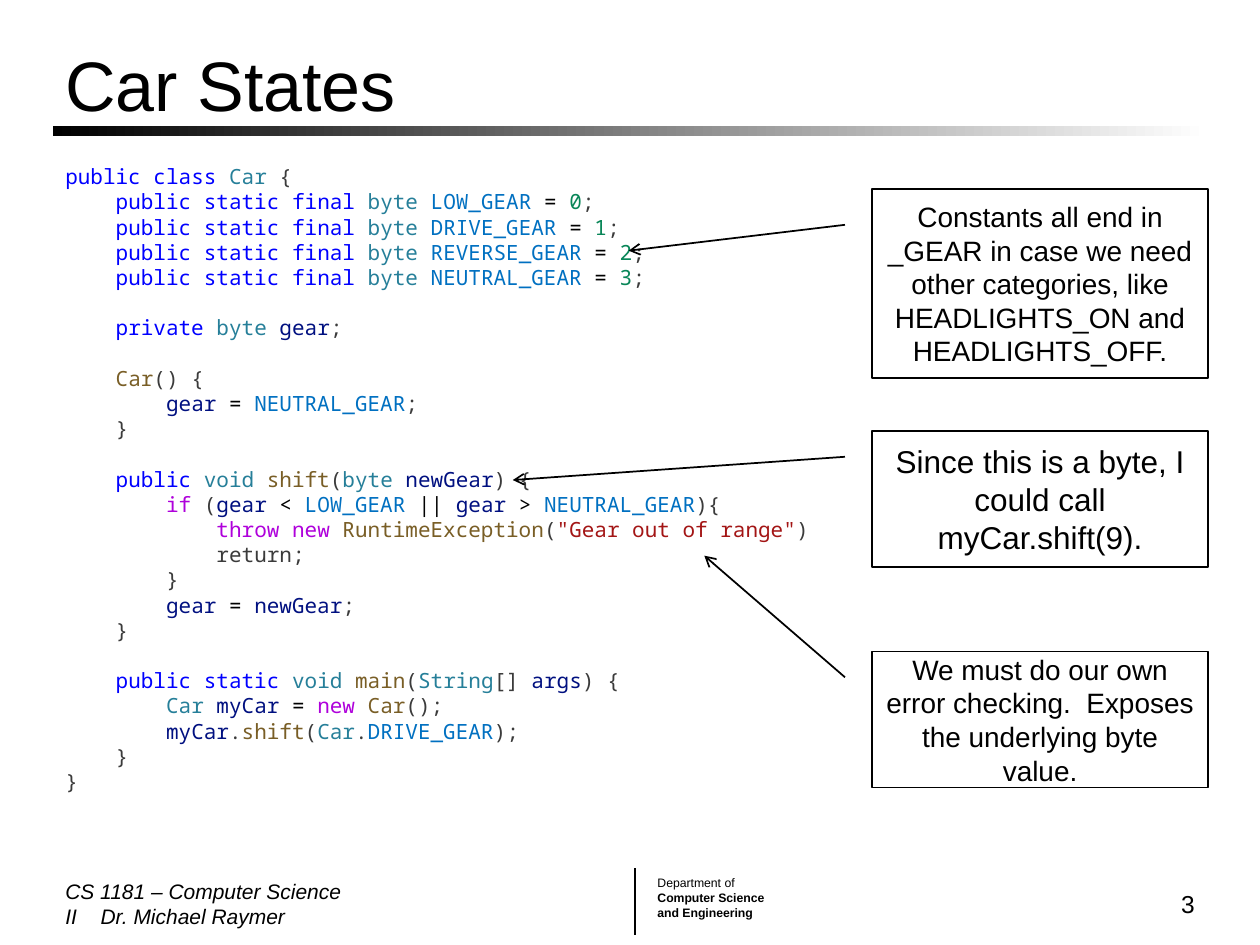
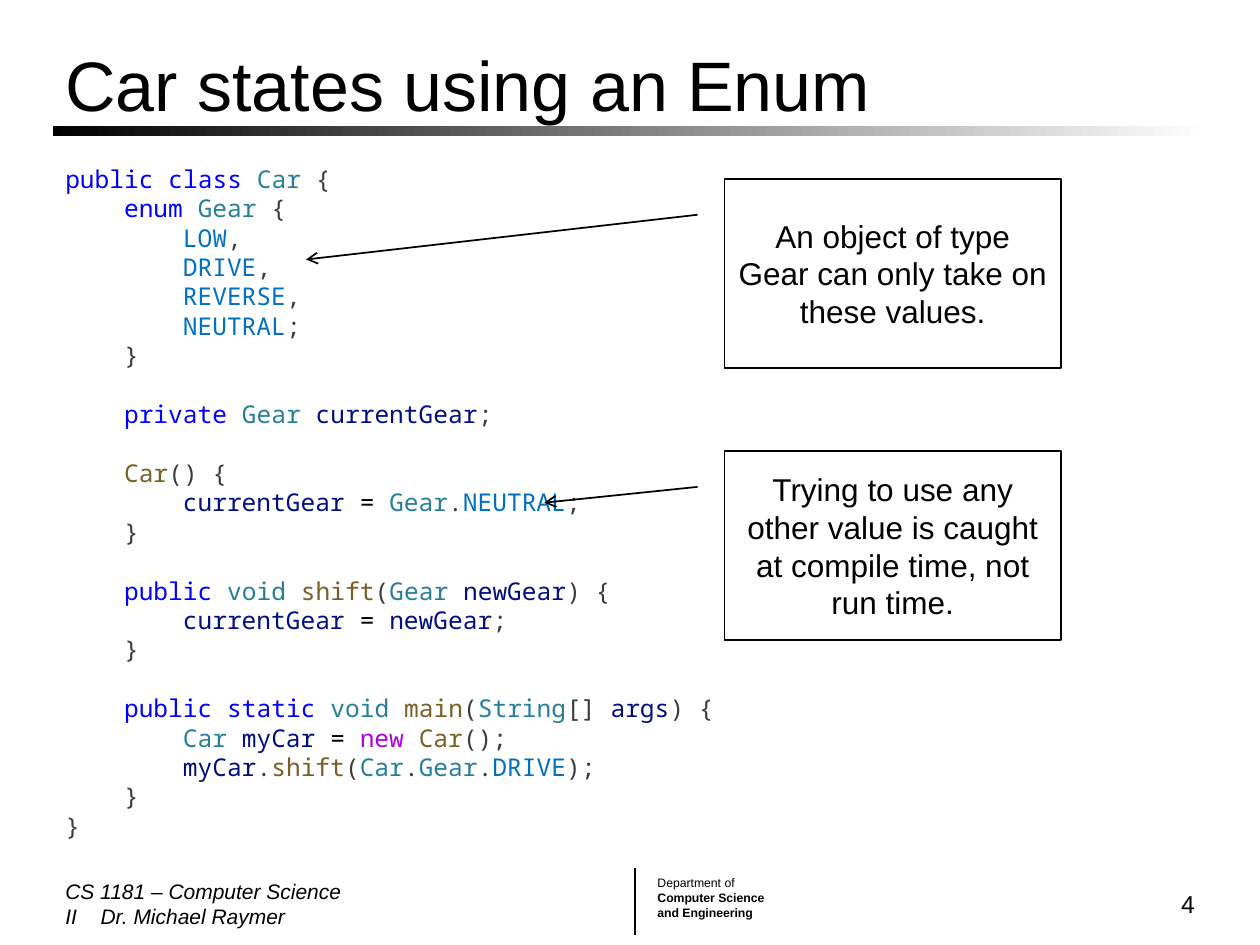
import itertools

import lxml.etree
import pptx
import pptx.dml.color
import pptx.enum.shapes
import pptx.enum.text
import pptx.oxml.ns
import pptx.util

Inches = pptx.util.Inches
Pt = pptx.util.Pt
RGBColor = pptx.dml.color.RGBColor
Align = pptx.enum.text.PP_ALIGN
Anchor = pptx.enum.text.MSO_ANCHOR
Shape = pptx.enum.shapes.MSO_SHAPE
qn = pptx.oxml.ns.qn

BLACK = RGBColor(0x00, 0x00, 0x00)
WHITE = RGBColor(0xFF, 0xFF, 0xFF)
PLAIN = RGBColor(0x3B, 0x3B, 0x3B)
KEYWORD = RGBColor(0x00, 0x00, 0xFF)
FLOW = RGBColor(0xAF, 0x00, 0xDB)
TYPE = RGBColor(0x26, 0x7F, 0x99)
CONSTANT = RGBColor(0x00, 0x70, 0xC1)
NUMBER = RGBColor(0x09, 0x86, 0x58)
VARIABLE = RGBColor(0x00, 0x10, 0x80)
FUNCTION = RGBColor(0x79, 0x5E, 0x26)
STRING = RGBColor(0xA3, 0x15, 0x15)

BODY_FONT = "Arial"
CODE_FONT = "Noto Sans Mono"

WORD_COLORS = {
    **dict.fromkeys(["public", "private", "class", "static", "final", "enum"], KEYWORD),
    **dict.fromkeys(["if", "throw", "new"], FLOW),
    **dict.fromkeys(["Car", "Gear", "String", "byte", "void"], TYPE),
    "return": PLAIN,
}

COURSE = "CS 1181 – Computer Science II\tDr. Michael Raymer"
DEPARTMENT = [("Department of", False), ("Computer Science", True), ("and Engineering", True)]

CONSTANTS_CODE = """public class Car {
    public static final byte LOW_GEAR = 0;
    public static final byte DRIVE_GEAR = 1;
    public static final byte REVERSE_GEAR = 2;
    public static final byte NEUTRAL_GEAR = 3;

    private byte gear;

    Car() {
        gear = NEUTRAL_GEAR;
    }

    public void shift(byte newGear) {
        if (gear < LOW_GEAR || gear > NEUTRAL_GEAR){
            throw new RuntimeException("Gear out of range")
            return;
        }
        gear = newGear;
    }

    public static void main(String[] args) {
        Car myCar = new Car();
        myCar.shift(Car.DRIVE_GEAR);
    }
}"""

ENUM_CODE = """public class Car {
    enum Gear {
        LOW,
        DRIVE,
        REVERSE,
        NEUTRAL;
    }

    private Gear currentGear;

    Car() {
        currentGear = Gear.NEUTRAL;
    }

    public void shift(Gear newGear) {
        currentGear = newGear;
    }

    public static void main(String[] args) {
        Car myCar = new Car();
        myCar.shift(Car.Gear.DRIVE);
    }
}"""

PAGES = [
    {
        "title": "Car States", "number": 3,
        "code": CONSTANTS_CODE, "code_size": 12, "code_height": 5.15,
        "callout_left": 6.92,
        "callouts": [
            {"top": 1.5, "height": 1.5, "size": 16, "target": (4.99, 1.99),
             "text": "Constants all end in _GEAR in case we need other categories, "
                     "like HEADLIGHTS_ON and HEADLIGHTS_OFF."},
            {"top": 3.42, "height": 1.08, "size": 18, "target": (4.07, 3.81),
             "text": "Since this is a byte, I could call myCar.shift(9)."},
            {"top": 5.17, "height": 1.08, "size": 16, "target": (5.59, 4.41),
             "text": "We must do our own error checking.  Exposes the underlying byte value."},
        ],
    },
    {
        "title": "Car states using an Enum", "number": 4,
        "code": ENUM_CODE, "code_size": 14, "code_height": 5.52,
        "callout_left": 5.75,
        "callouts": [
            {"top": 1.42, "height": 1.5, "size": 18, "target": (2.43, 2.06),
             "text": "An object of type Gear can only take on these values."},
            {"top": 3.58, "height": 1.5, "size": 18, "target": (4.32, 3.99),
             "text": "Trying to use any other value is caught at compile time, not run time."},
        ],
    },
]

LEFT, WIDTH = 0.42, 9.17
FOOTER_TOP, FOOTER_HEIGHT = 6.92, 0.5
CALLOUT_WIDTH = 2.67
LEADER_START = (0.19, -0.08)
CODE_LINE_FACTOR = 1.2
INDENT_PER_SPACE = 0.6


def apply(target, values):
    for name, value in values.items():
        setattr(target, name, value)


def add_span(para, text, size, color=BLACK, font=BODY_FONT, **extra):
    span = para.add_run()
    span.text = text
    apply(span.font, {"name": font, "size": Pt(size), **extra})
    span.font.color.rgb = color


def add_box(page, left, top, width, height, **frame_values):
    box = page.shapes.add_textbox(Inches(left), Inches(top), Inches(width), Inches(height))
    apply(box.text_frame, {"word_wrap": True, **frame_values})
    return box


def set_title(page, text):
    title = page.shapes.title
    apply(title, {"left": Inches(LEFT), "top": Inches(0.33),
                  "width": Inches(WIDTH), "height": Inches(0.67)})
    apply(title.text_frame, {"vertical_anchor": Anchor.MIDDLE,
                             "auto_size": pptx.enum.text.MSO_AUTO_SIZE.NONE})
    para = title.text_frame.paragraphs[0]
    para.alignment = Align.LEFT
    add_span(para, text, 40)


def add_title_band(page):
    band = page.shapes.add_shape(Shape.RECTANGLE, Inches(LEFT), Inches(1),
                                 Inches(WIDTH), Inches(0.08))
    band.shadow.inherit = False
    band.line.fill.background()
    band.fill.gradient()
    band.fill.gradient_angle = 0
    for stop, color, position in zip(band.fill.gradient_stops, (BLACK, WHITE), (0, 1)):
        stop.color.rgb = color
        stop.position = position


def add_footer(page, number):
    divider = page.shapes.add_connector(pptx.enum.shapes.MSO_CONNECTOR.STRAIGHT,
                                        Inches(5.04), Inches(6.89), Inches(5.04), Inches(7.42))
    divider.line.color.rgb = BLACK
    divider.line.width = Pt(1.5)
    lxml.etree.SubElement(divider.element.spPr, qn("a:effectLst"))

    department = add_box(page, 5.12, 6.9, 1.06, 0.45, word_wrap=False).text_frame
    for index, (text, bold) in enumerate(DEPARTMENT):
        para = department.add_paragraph() if index else department.paragraphs[0]
        add_span(para, text, 7, bold=bold)

    course = add_box(page, LEFT, FOOTER_TOP, 2.5, FOOTER_HEIGHT, vertical_anchor=Anchor.MIDDLE)
    para = course.text_frame.paragraphs[0]
    add_span(para, COURSE, 12, italic=True)
    tabs = lxml.etree.SubElement(para._p.get_or_add_pPr(), qn("a:tabLst"))
    lxml.etree.SubElement(tabs, qn("a:tab"), pos=str(Inches(0.28)), algn="l")

    counter = add_box(page, 7.5, FOOTER_TOP, 2.08, FOOTER_HEIGHT, vertical_anchor=Anchor.MIDDLE)
    para = counter.text_frame.paragraphs[0]
    para.alignment = Align.RIGHT
    add_span(para, str(number), 14)


def token_kind(letter):
    if letter.isalnum() or letter == "_":
        return "word"
    return "operator" if letter in "=<>|" else "plain"


def word_color(word, following):
    if following.startswith("("):
        return FUNCTION
    if word in WORD_COLORS:
        return WORD_COLORS[word]
    if word.isdigit():
        return NUMBER
    return CONSTANT if word.isupper() else VARIABLE


def colored_tokens(line):
    for index, part in enumerate(line.split('"')):
        if index % 2:
            yield f'"{part}"', STRING
            continue
        tokens = [(kind, "".join(letters)) for kind, letters in itertools.groupby(part, token_kind)]
        followers = [text for kind, text in tokens[1:]] + [""]
        for (kind, text), following in zip(tokens, followers):
            if kind == "word":
                yield text, word_color(text, following)
            else:
                yield text, BLACK if kind == "operator" else PLAIN


def add_code(page, code, size, height):
    frame = add_box(page, LEFT, 1.25, WIDTH, height).text_frame
    line_height = Pt(size * CODE_LINE_FACTOR)
    para, gap = frame.paragraphs[0], False
    for line in code.splitlines():
        if not line:
            gap = True
            continue
        if para.runs:
            para = frame.add_paragraph()
        apply(para, {"line_spacing": line_height, "space_before": line_height if gap else Pt(0)})
        gap = False
        text = line.lstrip()
        margin = Pt((len(line) - len(text)) * INDENT_PER_SPACE * size)
        para._p.get_or_add_pPr().set("marL", str(margin))
        for token, color in colored_tokens(text):
            add_span(para, token, size, color, CODE_FONT)


def add_callout(page, left, top, height, size, target, text):
    callout = page.shapes.add_shape(Shape.LINE_CALLOUT_1, Inches(left), Inches(top),
                                    Inches(CALLOUT_WIDTH), Inches(height))
    target_x, target_y = target
    leader = (*LEADER_START, (target_y - top) / height, (target_x - left) / CALLOUT_WIDTH)
    for index, value in enumerate(leader):
        callout.adjustments[index] = value
    callout.shadow.inherit = False
    callout.fill.solid()
    callout.fill.fore_color.rgb = WHITE
    callout.line.color.rgb = BLACK
    callout.line.width = Pt(1)
    lxml.etree.SubElement(callout.line._get_or_add_ln(), qn("a:tailEnd"), type="arrow")
    apply(callout.text_frame, {"word_wrap": True, "vertical_anchor": Anchor.MIDDLE})
    para = callout.text_frame.paragraphs[0]
    para.alignment = Align.CENTER
    add_span(para, text, size)


def main():
    deck = pptx.Presentation()
    apply(deck, {"slide_width": Inches(10), "slide_height": Inches(7.5)})
    for content in PAGES:
        page = deck.slides.add_slide(deck.slide_layouts[5])
        add_title_band(page)
        add_footer(page, content["number"])
        set_title(page, content["title"])
        add_code(page, content["code"], content["code_size"], content["code_height"])
        for callout in content["callouts"]:
            add_callout(page, content["callout_left"], **callout)
    deck.save("out.pptx")


if __name__ == "__main__":
    main()
